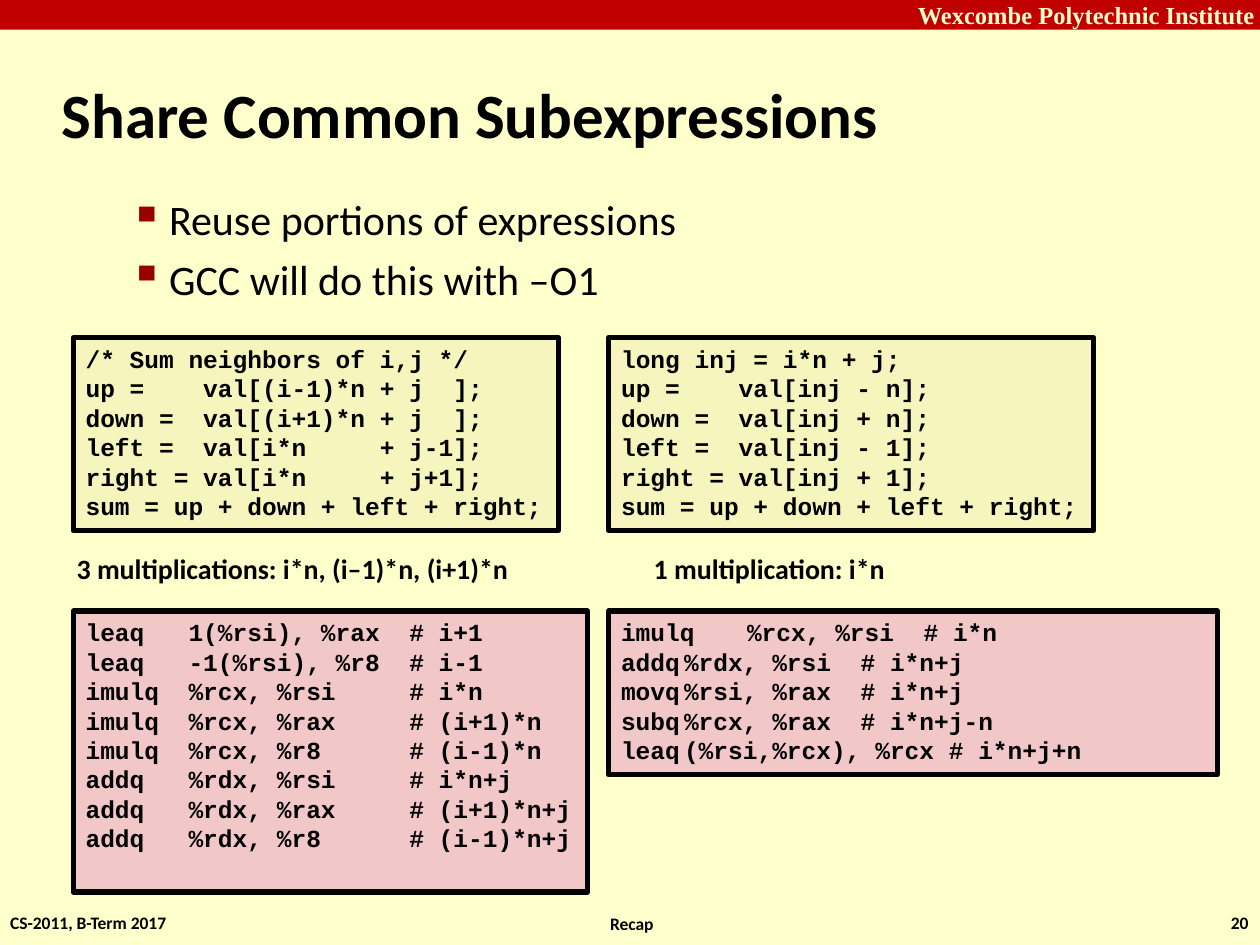
"""Build the slide on sharing common subexpressions."""
from dataclasses import dataclass

import pptx
import pptx.dml.color
import pptx.enum.shapes
import pptx.enum.text
import pptx.oxml
import pptx.oxml.ns
import pptx.util

Pt = pptx.util.Pt
Align = pptx.enum.text.PP_ALIGN
Anchor = pptx.enum.text.MSO_ANCHOR
AutoSize = pptx.enum.text.MSO_AUTO_SIZE

COLORS = {
    "page": "FFFFCC", "banner": "C00000", "ink": "000000",
    "bullet": "990000", "source": "F6F5BD", "assembly": "F1C7C7",
}
PADDING = (7.2, 3.6, 7.2, 3.6)
LEFT_COLUMN, RIGHT_COLUMN = 41.8, 347.8
SOURCE_TOP, ASSEMBLY_TOP = 193, 349.2


@dataclass
class Listing:
    left: float
    top: float
    width: float
    height: float
    fill: str
    wrap: bool
    code: str


@dataclass
class Label:
    left: float
    top: float
    width: float
    height: float
    text: str
    size: float
    align: Align = Align.LEFT
    anchor: Anchor = Anchor.MIDDLE
    insets: tuple[float, float, float, float] = (0, 0, 0, 0)


LISTINGS = [
    Listing(LEFT_COLUMN, SOURCE_TOP, 277.2, 110.2, "source", False,
            """/* Sum neighbors of i,j */
up =    val[(i-1)*n + j  ];
down =  val[(i+1)*n + j  ];
left =  val[i*n     + j-1];
right = val[i*n     + j+1];
sum = up + down + left + right;"""),
    Listing(RIGHT_COLUMN, SOURCE_TOP, 277.2, 110.2, "source", False,
            """long inj = i*n + j;
up =    val[inj - n];
down =  val[inj + n];
left =  val[inj - 1];
right = val[inj + 1];
sum = up + down + left + right;"""),
    Listing(LEFT_COLUMN, ASSEMBLY_TOP, 293.8, 160.6, "assembly", True,
            """leaq   1(%rsi), %rax  # i+1
leaq   -1(%rsi), %r8  # i-1
imulq  %rcx, %rsi     # i*n
imulq  %rcx, %rax     # (i+1)*n
imulq  %rcx, %r8      # (i-1)*n
addq   %rdx, %rsi     # i*n+j
addq   %rdx, %rax     # (i+1)*n+j
addq   %rdx, %r8      # (i-1)*n+j"""),
    Listing(RIGHT_COLUMN, ASSEMBLY_TOP, 347.8, 93.6, "assembly", True,
            """imulq\t%rcx, %rsi  # i*n
addq\t%rdx, %rsi  # i*n+j
movq\t%rsi, %rax  # i*n+j
subq\t%rcx, %rax  # i*n+j-n
leaq\t(%rsi,%rcx), %rcx # i*n+j+n"""),
]

LABELS = [
    Label(36.7, 311.8, 264.2, 26.6, "3 multiplications: i*n, (i–1)*n, (i+1)*n",
          16, anchor=Anchor.TOP, insets=PADDING),
    Label(366.5, 311.8, 148.3, 26.6, "1 multiplication: i*n",
          16, anchor=Anchor.TOP, insets=PADDING),
    Label(5.8, 521.3, 92.2, 12.2, "CS-2011, B-Term 2017", 10),
    Label(331.9, 521.3, 55.4, 12.2, "Recap", 10, Align.CENTER,
          Anchor.BOTTOM, (2.9, 0, 0, 0)),
    Label(701.3, 521.3, 12.2, 12.2, "20", 10, Align.RIGHT),
]


def rgb(name: str) -> pptx.dml.color.RGBColor:
    return pptx.dml.color.RGBColor.from_string(COLORS[name])


def write(frame, text: str, *, size: float, font: str = "Calibri",
          color: str = "ink", bold: bool = True, align=Align.LEFT,
          anchor=Anchor.TOP, insets=PADDING, wrap: bool = True,
          autosize=AutoSize.NONE, space_before: float = 0) -> None:
    frame.word_wrap = wrap
    frame.auto_size = autosize
    frame.vertical_anchor = anchor
    (frame.margin_left, frame.margin_top,
     frame.margin_right, frame.margin_bottom) = map(Pt, insets)
    frame.text = text
    for paragraph in frame.paragraphs:
        paragraph.alignment = align
        paragraph.space_before = Pt(space_before)
        for run in paragraph.runs:
            run.font.size = Pt(size)
            run.font.name = font
            run.font.bold = bold
            run.font.color.rgb = rgb(color)


def indent(paragraph, left: float, hanging: float) -> None:
    properties = paragraph._p.get_or_add_pPr()
    properties.set("marL", str(Pt(left)))
    properties.set("indent", str(-Pt(hanging)))


def add_bullet(paragraph) -> None:
    namespace = pptx.oxml.ns.nsdecls("a")
    for element in (
        f'<a:buClr {namespace}><a:srgbClr val="{COLORS["bullet"]}"/></a:buClr>',
        f'<a:buSzPct {namespace} val="110000"/>',
        f'<a:buChar {namespace} char="▪"/>',
    ):
        paragraph._p.get_or_add_pPr().append(pptx.oxml.parse_xml(element))


def add_panel(slide, left: float, top: float, width: float, height: float,
              fill: str):
    panel = slide.shapes.add_shape(
        pptx.enum.shapes.MSO_SHAPE.RECTANGLE,
        Pt(left), Pt(top), Pt(width), Pt(height))
    panel.shadow.inherit = False
    panel.fill.solid()
    panel.fill.fore_color.rgb = rgb(fill)
    panel.line.fill.background()
    return panel


def add_listing(slide, listing: Listing) -> None:
    panel = add_panel(slide, listing.left, listing.top, listing.width,
                      listing.height, listing.fill)
    panel.line.color.rgb = rgb("ink")
    panel.line.width = Pt(3)
    write(panel.text_frame, listing.code, size=14, font="Courier New",
          wrap=listing.wrap)


def add_label(slide, label: Label) -> None:
    box = slide.shapes.add_textbox(Pt(label.left), Pt(label.top),
                                   Pt(label.width), Pt(label.height))
    write(box.text_frame, label.text, size=label.size, align=label.align,
          anchor=label.anchor, insets=label.insets, wrap=False,
          autosize=AutoSize.SHAPE_TO_FIT_TEXT)


def main() -> None:
    deck = pptx.Presentation()
    deck.slide_width, deck.slide_height = Pt(720), Pt(540)
    slide = deck.slides.add_slide(deck.slide_layouts.get_by_name("Title Only"))
    slide.background.fill.solid()
    slide.background.fill.fore_color.rgb = rgb("page")

    banner = add_panel(slide, 0, 0, 720, 17, "banner")
    write(banner.text_frame, "Wexcombe Polytechnic Institute", size=14,
          font="Times New Roman", color="page", align=Align.RIGHT,
          anchor=Anchor.MIDDLE, insets=(0, 0, 2.9, 0))

    title = slide.shapes.title
    title.left, title.top, title.width, title.height = map(
        Pt, (28, 34.6, 597.6, 59.8))
    write(title.text_frame, "Share Common Subexpressions", size=36,
          anchor=Anchor.MIDDLE)
    indent(title.text_frame.paragraphs[0], 9, 9)

    points = slide.shapes.add_textbox(Pt(31), Pt(107.3), Pt(622), Pt(391.7))
    write(points.text_frame,
          "Reuse portions of expressions\nGCC will do this with –O1",
          size=24, bold=False, space_before=5)
    for paragraph in points.text_frame.paragraphs:
        indent(paragraph, 58.5, 22.5)
        add_bullet(paragraph)

    for listing in LISTINGS:
        add_listing(slide, listing)
    for label in LABELS:
        add_label(slide, label)
    deck.save("out.pptx")


if __name__ == "__main__":
    main()
